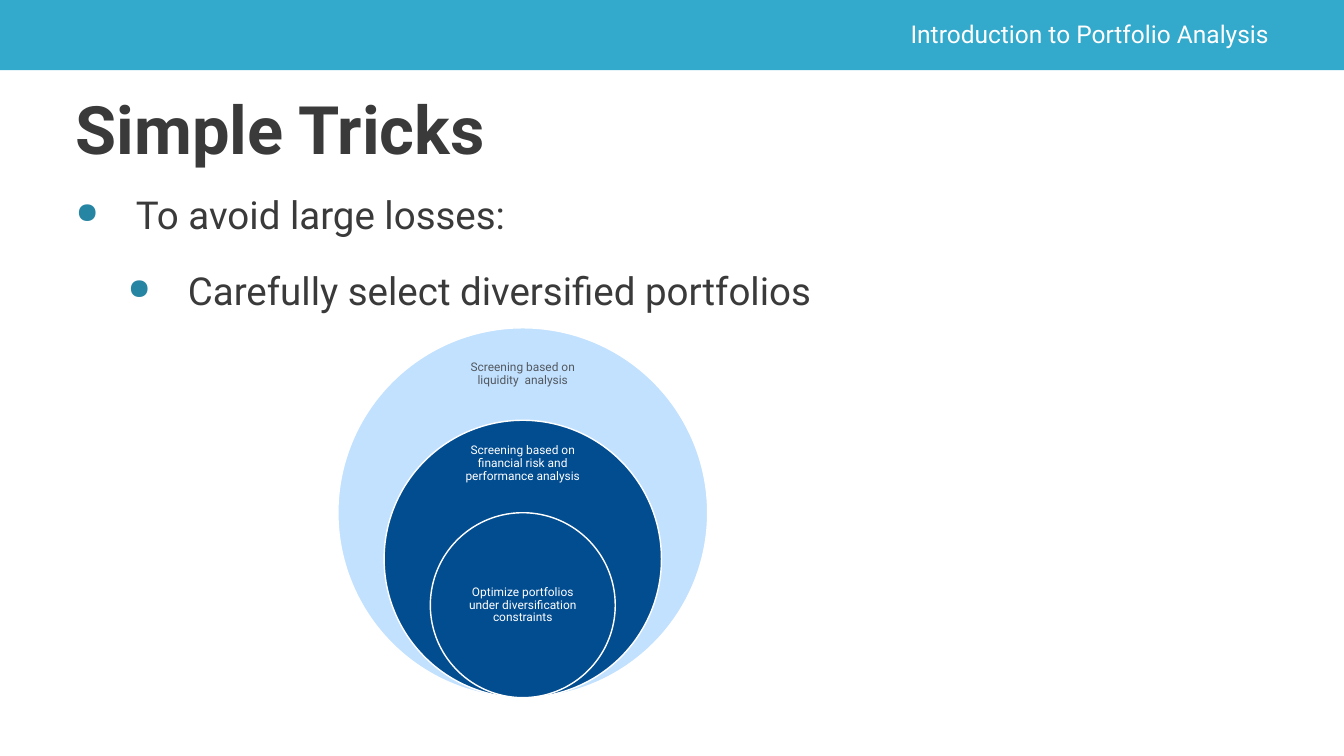
from dataclasses import dataclass

from lxml.etree import SubElement
from pptx import Presentation
from pptx.dml.color import RGBColor
from pptx.enum.shapes import MSO_SHAPE
from pptx.enum.text import MSO_ANCHOR, PP_ALIGN
from pptx.oxml.ns import qn
from pptx.util import Cm, Pt


@dataclass(frozen=True)
class Theme:
    """Colours, font and type sizes of the slide."""

    font: str = "Roboto"
    banner: str = "33A9CC"
    bullet: str = "2685A2"
    ink: str = "3A3A3A"
    muted: str = "53585F"
    pale: str = "C1E1FE"
    deep: str = "024C90"
    white: str = "FFFFFF"
    banner_size: float = 35
    title_size: float = 95.4
    body_size: float = 55
    label_size: float = 17


class SlideBuilder:
    """Draws styled elements on the current slide."""

    def __init__(self, slide, theme):
        self.slide = slide
        self.theme = theme

    def shape(self, kind, left, top, width, height, fill, line=None):
        """Add a filled preset shape."""
        shape = self.slide.shapes.add_shape(kind, Cm(left), Cm(top), Cm(width), Cm(height))
        shape.shadow.inherit = False
        shape.fill.solid()
        shape.fill.fore_color.rgb = RGBColor.from_string(fill)
        if line:
            shape.line.color.rgb = RGBColor.from_string(line)
            shape.line.width = Pt(2)
        else:
            shape.line.fill.background()

    def text(self, content, left, top, width, height, size, color,
             inset=0.2, align=PP_ALIGN.LEFT, anchor=MSO_ANCHOR.MIDDLE, bold=False):
        """Add a wrapped text box and return its text frame."""
        box = self.slide.shapes.add_textbox(Cm(left), Cm(top), Cm(width), Cm(height))
        text_frame = box.text_frame
        text_frame.word_wrap = True
        text_frame.vertical_anchor = anchor
        text_frame.margin_left = text_frame.margin_right = Cm(inset)
        text_frame.margin_top = text_frame.margin_bottom = Cm(inset)
        text_frame.text = content
        for paragraph in text_frame.paragraphs:
            paragraph.alignment = align
            for run in paragraph.runs:
                run.font.name = self.theme.font
                run.font.size = Pt(size)
                run.font.bold = bold
                run.font.color.rgb = RGBColor.from_string(color)
        return text_frame

    def bullets(self, items, left, top, width, height):
        """Add a bulleted list with one level per item."""
        text_frame = self.text("\n".join(items), left, top, width, height,
                               self.theme.body_size, self.theme.ink, anchor=MSO_ANCHOR.TOP)
        for level, paragraph in enumerate(text_frame.paragraphs):
            paragraph.level = level
            paragraph.space_before = Pt(42)
            properties = paragraph._p.get_or_add_pPr()
            properties.set("marL", str(Cm(3.45 + 2.62 * level)))
            properties.set("indent", str(Cm(-3.02)))
            color = SubElement(properties, qn("a:buClr"))
            SubElement(color, qn("a:srgbClr"), val=self.theme.bullet)
            SubElement(properties, qn("a:buSzPct"), val="75000")
            SubElement(properties, qn("a:buChar"), char="●")

    def ring(self, label, center, bottom, diameter, fill, color, label_top, label_height):
        """Add a circle resting on the common bottom point, with its label."""
        self.shape(MSO_SHAPE.OVAL, center - diameter / 2, bottom - diameter,
                   diameter, diameter, fill, self.theme.white)
        label_width = 6.55
        text_frame = self.text(label, center - label_width / 2, label_top, label_width,
                               label_height, self.theme.label_size, color,
                               inset=0.33, align=PP_ALIGN.CENTER)
        text_frame.paragraphs[0].line_spacing = 0.9


def main():
    """Build and save the slide."""
    theme = Theme()
    presentation = Presentation()
    presentation.slide_width, presentation.slide_height = Cm(67.74), Cm(38.1)
    slide = presentation.slides.add_slide(presentation.slide_layouts[6])
    builder = SlideBuilder(slide, theme)

    builder.shape(MSO_SHAPE.RECTANGLE, 0, 0, 67.74, 3.53, theme.banner)
    builder.text("Introduction to Portfolio Analysis", 44.32, 0.81, 19.79, 1.75,
                 theme.banner_size, theme.white, inset=0.15, align=PP_ALIGN.RIGHT)
    builder.text("Simple Tricks", 3.63, 4.01, 50.83, 4.88,
                 theme.title_size, theme.ink, bold=True)
    builder.bullets(["To avoid large losses:", "Carefully select diversified portfolios"],
                    3.2, 9.45, 50.6, 26.29)

    rings = [
        ("Screening based on liquidity  analysis", 1, theme.pale, theme.muted, 17.45, 2.79),
        ("Screening based on financial risk and performance analysis",
         0.75, theme.deep, theme.white, 22.05, 2.62),
        ("Optimize portfolios under diversification constraints",
         0.5, theme.deep, theme.white, 28.17, 4.67),
    ]
    for label, scale, fill, color, label_top, label_height in rings:
        builder.ring(label, 26.35, 35.16, 18.64 * scale, fill, color, label_top, label_height)

    presentation.save("out.pptx")


if __name__ == "__main__":
    main()
